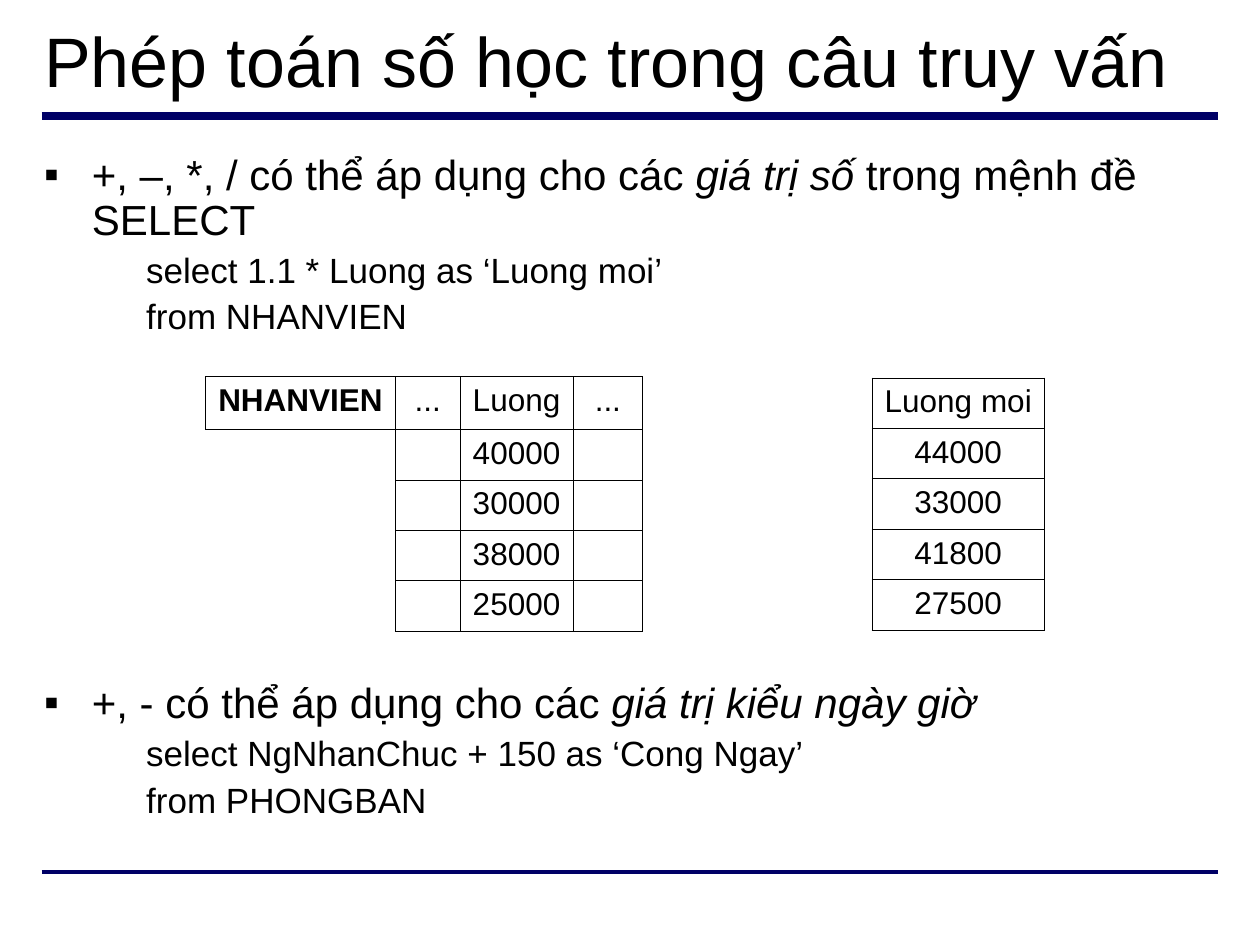
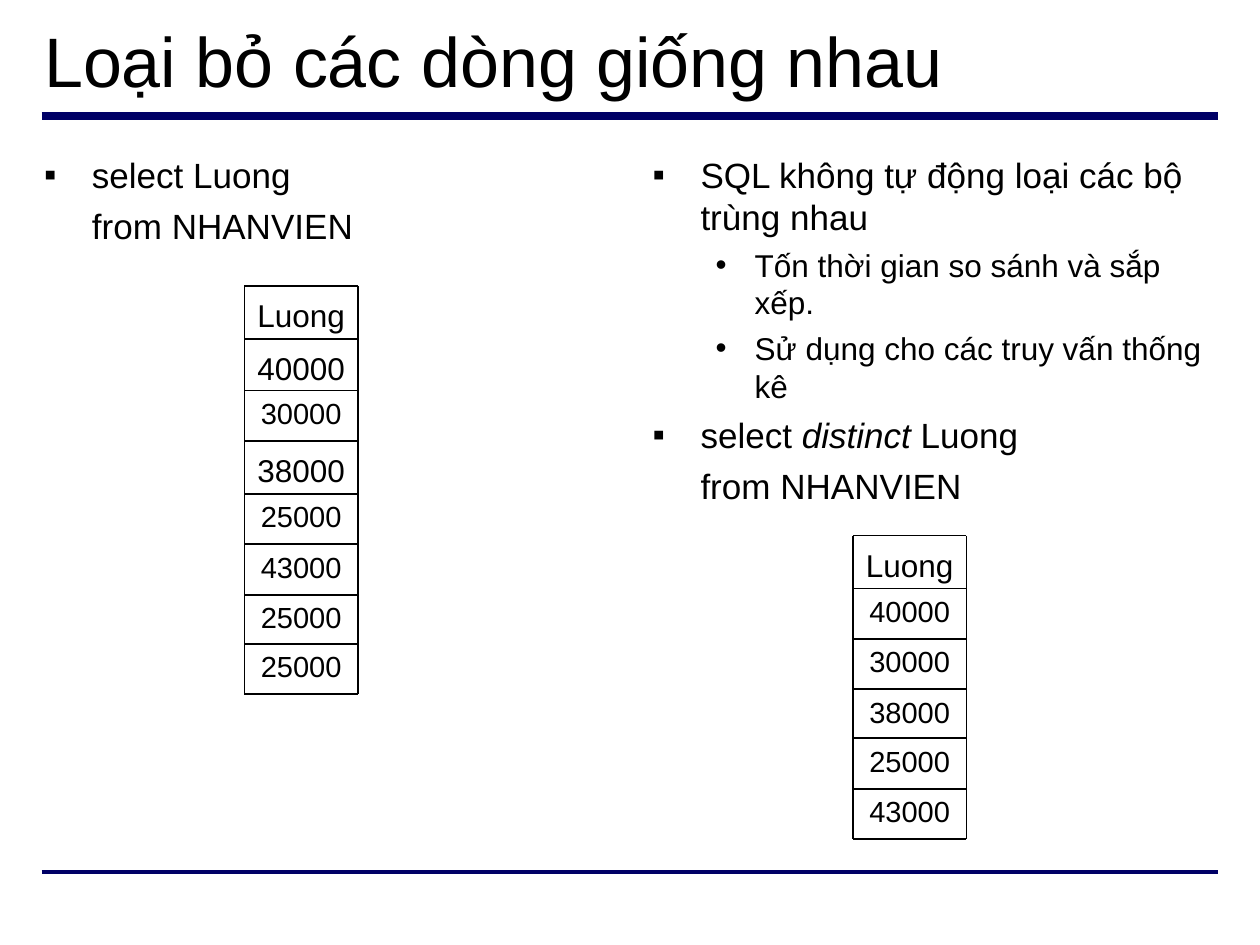
from lxml.etree import SubElement
from pptx import Presentation
from pptx.dml.color import RGBColor
from pptx.enum.shapes import MSO_CONNECTOR
from pptx.enum.text import MSO_ANCHOR, MSO_AUTO_SIZE, PP_ALIGN
from pptx.oxml.ns import qn
from pptx.util import Inches, Pt

COLORS = {"rule": "000066", "text": "000000"}
FONT = "Arial"
TITLE_BOX = (0.25, 0.18, 9.5, 0.58)

# Paragraph styles: left margin, hanging indent, bullet, size, and format values
LEFT = {"alignment": PP_ALIGN.LEFT}
CENTER = {"alignment": PP_ALIGN.CENTER}
STYLES = {
    "title": (0, 0, None, 40, LEFT),
    "point": (0.38, -0.38, "▪", 24, {"space_before": Pt(6), "line_spacing": 0.9, **LEFT}),
    "code": (0.81, 0, None, 20, {"space_before": Pt(5), "line_spacing": 0.9, "level": 1, **LEFT}),
    "item": (0.38, -0.38, "▪", 20, {"space_before": Pt(5), "line_spacing": 1.0, **LEFT}),
    "item code": (0.38, 0, None, 20, {"space_before": Pt(5), "line_spacing": 1.0, **LEFT}),
    "detail": (0.81, -0.31, "•", 18,
               {"space_before": Pt(4.5), "line_spacing": 1.0, "level": 1, **LEFT}),
    "cell": (0, 0, None, 18, CENTER),
    "small cell": (0, 0, None, 16.6, {"line_spacing": 0.9, **CENTER}),
}


def write(tf, lines, gaps=None):
    """Write (style, text) lines; _underscores_ mark italics, gaps maps a line to its space before."""
    for i, (style, text) in enumerate(lines):
        p = tf.paragraphs[0] if i == 0 else tf.add_paragraph()
        margin, indent, bullet, size, formats = STYLES[style]
        for name, value in formats.items():
            setattr(p, name, value)
        if i == 0:
            p.space_before = Pt(0)
        elif gaps and i in gaps:
            p.space_before = Pt(gaps[i])
        pPr = p._p.get_or_add_pPr()
        pPr.set("marL", str(Inches(margin)))
        pPr.set("indent", str(Inches(indent)))
        if bullet:
            color = SubElement(pPr, qn("a:buClr"))
            SubElement(color, qn("a:srgbClr"), val=COLORS["text"])
            SubElement(pPr, qn("a:buFont"), typeface=FONT)
            SubElement(pPr, qn("a:buChar"), char=bullet)
        else:
            SubElement(pPr, qn("a:buNone"))
        for j, part in enumerate(text.split("_")):
            if part:
                r = p.add_run()
                r.text = part
                for name, value in {"name": FONT, "size": Pt(size), "italic": j % 2 == 1}.items():
                    setattr(r.font, name, value)
                r.font.color.rgb = RGBColor.from_string(COLORS["text"])
        if not text:
            SubElement(p._p, qn("a:endParaRPr"), sz="1400")


def add_line(slide, start, end, color, weight):
    line = slide.shapes.add_connector(MSO_CONNECTOR.STRAIGHT,
                                      *[Inches(v) for v in (*start, *end)])
    line.line.color.rgb = RGBColor.from_string(COLORS[color])
    line.line.width = Pt(weight)
    SubElement(line.element.spPr, qn("a:effectLst"))
    return line


prs = Presentation()
prs.slide_width, prs.slide_height = Inches(10), Inches(7.5)
arithmetic = prs.slides.add_slide(prs.slide_layouts[1])
duplicates = prs.slides.add_slide(prs.slide_layouts[3])

# Rules above and below the content, shared through the master
for i, (y, weight) in enumerate([(0.92, 4.5), (6.92, 2.25)]):
    rule = add_line(arithmetic, (0.33, y), (9.67, y), "rule", weight)
    rule.element.nvCxnSpPr.cNvPr.set("id", str(20 + i))
    prs.slide_master.shapes.element.append(rule.element)

# Titles and lists
query_lines = [
    ("point", "+, –, *, / có thể áp dụng cho các _giá trị số_ trong mệnh đề SELECT"),
    ("code", "select 1.1 * Luong as ‘Luong moi’"),
    ("code", "from NHANVIEN"),
    ("point", "+, - có thể áp dụng cho các _giá trị kiểu ngày giờ_"),
    ("code", "select NgNhanChuc + 150 as ‘Cong Ngay’"),
    ("code", "from PHONGBAN"),
]
plain_lines = [("item", "select Luong"), ("item code", "from NHANVIEN")]
distinct_lines = [
    ("item", "SQL không tự động loại các bộ trùng nhau"),
    ("detail", "Tốn thời gian so sánh và sắp xếp."),
    ("detail", "Sử dụng cho các truy vấn thống kê"),
    ("item", "select _distinct_ Luong"),
    ("item code", "from NHANVIEN"),
]
texts = [
    (arithmetic, 0, TITLE_BOX, [("title", "Phép toán số học trong câu truy vấn")], None),
    (arithmetic, 1, (0.25, 1.17, 9.5, 5.53), query_lines, {3: 197}),
    (duplicates, 0, TITLE_BOX, [("title", "Loại bỏ các dòng giống nhau")], None),
    (duplicates, 1, (0.25, 1.17, 4.67, 5.53), plain_lines, None),
    (duplicates, 2, (5.08, 1.17, 4.67, 5.53), distinct_lines, None),
]
for slide, idx, box, lines, gaps in texts:
    sp = slide.placeholders[idx]
    sp.left, sp.top, sp.width, sp.height = [Inches(v) for v in box]
    tf = sp.text_frame
    tf.word_wrap = True
    tf.auto_size = MSO_AUTO_SIZE.NONE
    tf.vertical_anchor = MSO_ANCHOR.MIDDLE if idx == 0 else MSO_ANCHOR.TOP
    write(tf, lines, gaps)

# Slide 1: salary tables; a None cell is blank and only borders its neighbours
salaries = ["40000", "30000", "38000", "25000"]
tables = [
    (1.63, 2.99, [1.51, 0.51, 0.9, 0.55], 0.42,
     [["NHANVIEN", "...", "Luong", "..."]] + [[None, "", s, ""] for s in salaries]),
    (6.92, 3, [1.37], 0.4, [[s] for s in ("Luong moi", "44000", "33000", "41800", "27500")]),
]
for left, top, widths, header_height, rows in tables:
    heights = [header_height] + [0.4] * (len(rows) - 1)
    table = arithmetic.shapes.add_table(len(rows), len(widths), Inches(left), Inches(top),
                                        Inches(sum(widths)), Inches(sum(heights))).table
    table.first_row = table.horz_banding = False
    for column, width in zip(table.columns, widths):
        column.width = Inches(width)
    for i, row in enumerate(rows):
        table.rows[i].height = Inches(heights[i])
        for j, text in enumerate(row):
            cell = table.cell(i, j)
            tcPr = cell._tc.get_or_add_tcPr()
            for side in "LRTB":
                ln = SubElement(tcPr, qn(f"a:ln{side}"), w=str(Pt(0.45)))
                if text is not None or side == "R" or (side == "T" and i == 1):
                    fill = SubElement(ln, qn("a:solidFill"))
                    SubElement(fill, qn("a:srgbClr"), val=COLORS["text"])
                else:
                    SubElement(ln, qn("a:noFill"))
            cell.fill.background()
            write(cell.text_frame, [("cell", text or "")])
            if text == "NHANVIEN":
                cell.text_frame.paragraphs[0].runs[0].font.bold = True

# Slide 2: query results, each a column of values between ruled lines
distinct = ["Luong"] + salaries + ["43000"]
results = [
    (1.94, [2.27, 2.69, 3.1, 3.5, 3.92, 4.32, 4.72, 5.11, 5.51],
     distinct + ["25000"] * 2, ("Luong", "40000", "38000")),
    (6.77, [4.25, 4.67, 5.07, 5.47, 5.86, 6.26, 6.66], distinct, ("Luong",)),
]
for left, edges, values, large in results:
    right = left + 0.9
    for top, bottom, value in zip(edges, edges[1:], values):
        sp = duplicates.shapes.add_textbox(Inches(left), Inches(top), Inches(0.9),
                                           Inches(bottom - top))
        tf = sp.text_frame
        tf.word_wrap = True
        tf.margin_top = Inches(0.08 if value in large else 0.07)
        write(tf, [("cell" if value in large else "small cell", value)])
    for y in edges:
        add_line(duplicates, (left, y), (right, y), "text", 1)
    for x in (left, right):
        add_line(duplicates, (x, edges[0]), (x, edges[-1]), "text", 1)

prs.save("out.pptx")
